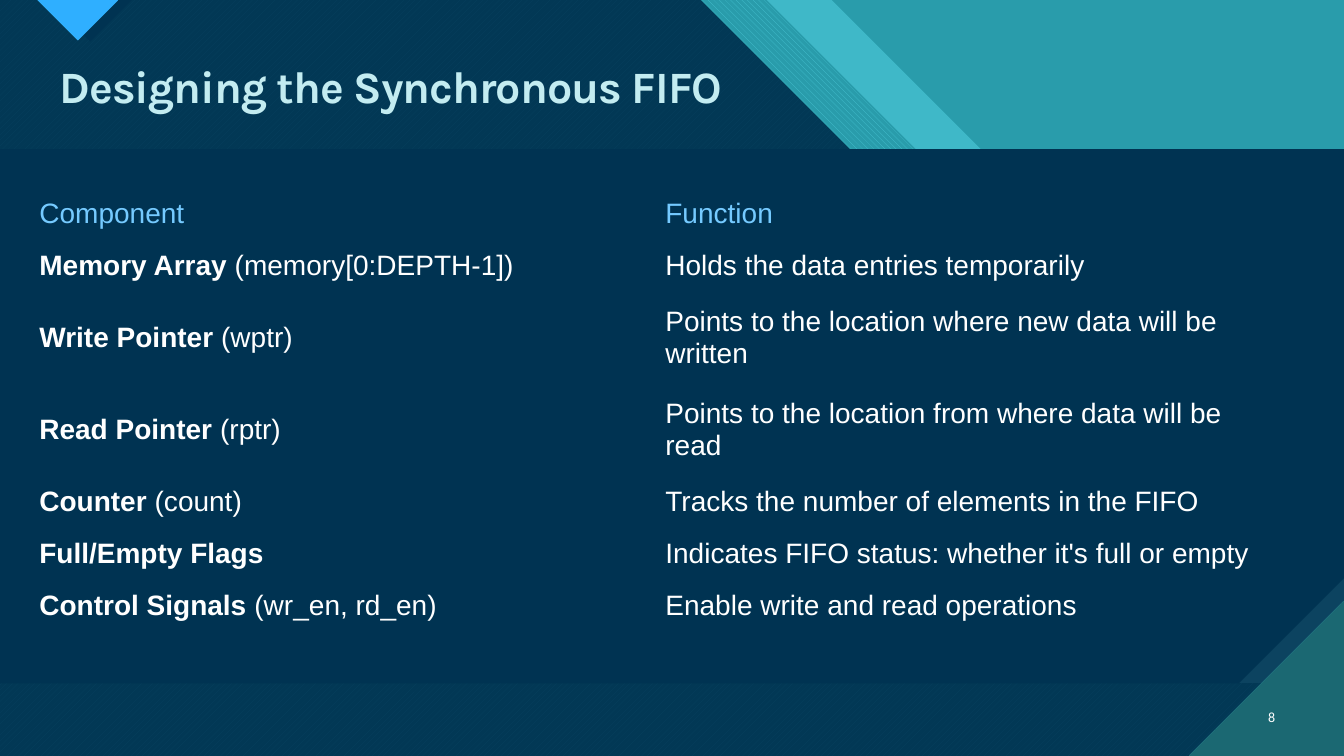
from dataclasses import dataclass
from typing import Optional

from lxml.etree import SubElement
from pptx import Presentation
from pptx.dml.color import RGBColor
from pptx.enum.dml import MSO_PATTERN_TYPE as Pattern
from pptx.enum.text import MSO_ANCHOR as Anchor, PP_ALIGN as Align
from pptx.oxml.ns import qn
from pptx.util import Pt

NAVY = RGBColor(0x00, 0x33, 0x52)
STEEL = RGBColor(0x0C, 0x43, 0x60)
TEAL = RGBColor(0x29, 0x9C, 0xAB)
AQUA = RGBColor(0x47, 0xC3, 0xD3)
DEEP_TEAL = RGBColor(0x1B, 0x68, 0x72)
BLUE = RGBColor(0x2F, 0xAF, 0xFF)
SKY = RGBColor(0x75, 0xCA, 0xFF)
PALE = RGBColor(0xC3, 0xEC, 0xF1)
WHITE = RGBColor(0xFF, 0xFF, 0xFF)

WIDTH, HEIGHT = 960, 540
SHELF = 214
BODY_TOP, BODY_BOTTOM, SNIP = 106.6, 488.2, 75.2
CORNER = 111
NO_GRID_STYLE = "{2D5ABB26-0587-4C30-8999-92F81FD0307C}"
ROW, TALL_ROW = 37.2, 65.7
COLUMNS = (447.2, 456)

Points = list[tuple[float, float]]


@dataclass(frozen=True)
class Panel:
    points: Points
    color: RGBColor
    pattern: Optional[Pattern] = None
    back: Optional[RGBColor] = None
    opacity: Optional[int] = None


@dataclass(frozen=True)
class Component:
    name: str
    signals: str
    function: str
    height: float = ROW


def band(left: float, top_right: float, shelf_right: float) -> Points:
    return [(left, 0), (top_right, 0), (top_right + SHELF, SHELF), (shelf_right, SHELF),
            (WIDTH, SHELF + WIDTH - shelf_right), (WIDTH, HEIGHT), (left, HEIGHT)]


def notch(center: float, depth: float) -> Points:
    return [(center - depth, 0), (center, depth), (center + depth, 0)]


def body(snip: float) -> Points:
    return [(0, BODY_TOP), (WIDTH, BODY_TOP), (WIDTH, BODY_BOTTOM - snip),
            (WIDTH - snip, BODY_BOTTOM), (0, BODY_BOTTOM)]


DARK_BAND = band(0, 500.4, 805)
PANELS = [
    Panel(band(0, 594, 888.5), AQUA, opacity=74),
    Panel(band(47.5, 547.5, 852.5), AQUA, Pattern.WIDE_DOWNWARD_DIAGONAL, TEAL),
    Panel(DARK_BAND, AQUA, Pattern.WIDE_UPWARD_DIAGONAL, DEEP_TEAL),
    Panel(DARK_BAND, NAVY, opacity=90),
    Panel(notch(64.6, 29.7), NAVY),
    Panel(notch(55.6, 28.9), BLUE, Pattern.DARK_HORIZONTAL, DEEP_TEAL),
    Panel(body(0), STEEL, Pattern.DARK_VERTICAL, DEEP_TEAL),
    Panel(body(SNIP), NAVY),
    Panel([(WIDTH - CORNER, HEIGHT), (WIDTH, HEIGHT), (WIDTH, HEIGHT - CORNER)],
          DEEP_TEAL, Pattern.DARK_HORIZONTAL, AQUA),
]

COMPONENTS = [
    Component("Memory Array", " (memory[0:DEPTH-1])", "Holds the data entries temporarily"),
    Component("Write Pointer", " (wptr)",
              "Points to the location where new data will be written", TALL_ROW),
    Component("Read Pointer", " (rptr)",
              "Points to the location from where data will be read", TALL_ROW),
    Component("Counter", " (count)", "Tracks the number of elements in the FIFO"),
    Component("Full/Empty Flags", "", "Indicates FIFO status: whether it's full or empty"),
    Component("Control Signals", " (wr_en, rd_en)", "Enable write and read operations"),
]


def draw_panel(slide, panel: Panel) -> None:
    start, *rest = [(Pt(x), Pt(y)) for x, y in panel.points]
    builder = slide.shapes.build_freeform(*start)
    builder.add_line_segments(rest, close=True)
    shape = builder.convert_to_shape()
    shape.shadow.inherit = False
    shape.line.fill.background()
    if panel.pattern is None:
        shape.fill.solid()
    else:
        shape.fill.patterned()
        shape.fill.pattern = panel.pattern
        shape.fill.back_color.rgb = panel.back
    shape.fill.fore_color.rgb = panel.color
    if panel.opacity is not None:
        tint = shape._element.spPr.find(qn("a:solidFill"))[0]
        SubElement(tint, qn("a:alpha"), val=str(panel.opacity * 1000))


def write(paragraph, text: str, *, size: float = 20, font: str = "Arial",
          color: RGBColor = WHITE, bold: bool = False, spacing: float = 0) -> None:
    run = paragraph.add_run()
    run.text = text
    run.font.size = Pt(size)
    run.font.name = font
    run.font.bold = bold
    run.font.color.rgb = color
    if spacing:
        run.font._element.set("spc", str(round(spacing * 100)))


def add_label(slide, left: float, top: float, width: float, height: float, anchor: Anchor):
    frame = slide.shapes.add_textbox(Pt(left), Pt(top), Pt(width), Pt(height)).text_frame
    frame.word_wrap = True
    frame.vertical_anchor = anchor
    return frame.paragraphs[0]


def draw_components(slide) -> None:
    heights = [ROW] + [component.height for component in COMPONENTS]
    frame = slide.shapes.add_table(len(heights), len(COLUMNS), Pt(20.9), Pt(134),
                                   Pt(sum(COLUMNS)), Pt(sum(heights)))
    table = frame.table
    table.first_row = table.horz_banding = False
    table._tbl.tblPr.find(qn("a:tableStyleId")).text = NO_GRID_STYLE
    for column, width in zip(table.columns, COLUMNS):
        column.width = Pt(width)
    for row, height in zip(table.rows, heights):
        row.height = Pt(height)
    for cell in table.iter_cells():
        cell.fill.background()
        cell.vertical_anchor = Anchor.MIDDLE

    for column, heading in enumerate(("Component", "Function")):
        write(table.cell(0, column).text_frame.paragraphs[0], heading, color=SKY)
    for row, component in enumerate(COMPONENTS, start=1):
        name, function = (table.cell(row, column).text_frame.paragraphs[0] for column in (0, 1))
        write(name, component.name, bold=True)
        if component.signals:
            write(name, component.signals)
        write(function, component.function)


def main() -> None:
    deck = Presentation()
    deck.slide_width, deck.slide_height = Pt(WIDTH), Pt(HEIGHT)
    slide = deck.slides.add_slide(deck.slide_layouts[6])
    slide.background.fill.solid()
    slide.background.fill.fore_color.rgb = TEAL

    for panel in PANELS:
        draw_panel(slide, panel)

    title = add_label(slide, 35.5, 42.5, 882.5, 42.5, Anchor.TOP)
    title.line_spacing = 0.9
    write(title, "Designing the Synchronous FIFO", size=32, font="Karla",
          color=PALE, bold=True, spacing=-0.7)

    page = add_label(slide, 886.5, 497.5, 31.5, 28.8, Anchor.MIDDLE)
    page.alignment = Align.RIGHT
    write(page, "8", size=10, font="Calibri")

    draw_components(slide)
    deck.save("out.pptx")


if __name__ == "__main__":
    main()
